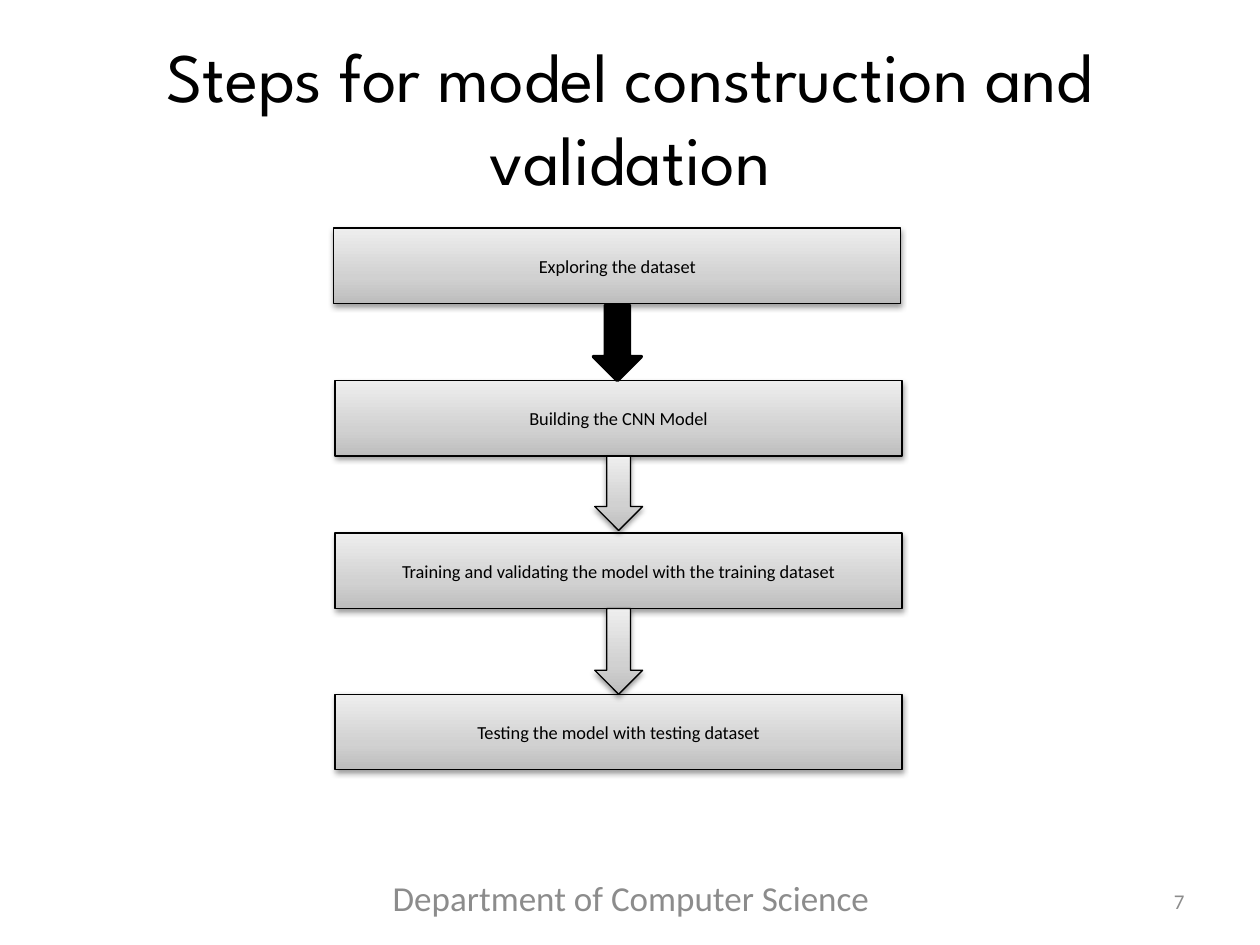
from pptx import Presentation
from pptx.dml.color import RGBColor
from pptx.enum.shapes import MSO_SHAPE
from pptx.enum.text import MSO_ANCHOR, PP_ALIGN
from pptx.oxml.ns import qn
from pptx.util import Inches, Pt
from lxml import etree

RECT, DOWN_ARROW = MSO_SHAPE.RECTANGLE, MSO_SHAPE.DOWN_ARROW
MIDDLE = MSO_ANCHOR.MIDDLE
CENTER, RIGHT = PP_ALIGN.CENTER, PP_ALIGN.RIGHT

BLACK = RGBColor(0x00, 0x00, 0x00)
GRAY = RGBColor(0x8C, 0x8C, 0x8C)
GRADIENT = [
    (0, RGBColor(0xBD, 0xBD, 0xBD)),
    (35, RGBColor(0xD1, 0xD1, 0xD1)),
    (100, RGBColor(0xEE, 0xEE, 0xEE)),
]
BODY_FONT, TITLE_FONT = "Calibri", "League Spartan"

BOX_W, BOX_H = 4.5, 0.6
ARROW_W = 0.38
# Left and top of each step box
STEPS = [
    ("Exploring the dataset", 2.65, 1.81),
    ("Building the CNN Model", 2.66, 3.02),
    ("Training and validating the model with the training dataset", 2.66, 4.23),
    ("Testing the model with testing dataset", 2.66, 5.51),
]
# Left, top, height and solid fill (None for the gradient) of each arrow
ARROWS = [
    (4.71, 2.42, 0.6, BLACK),
    (4.72, 3.62, 0.59, None),
    (4.72, 4.83, 0.68, None),
]


def write_text(sp, text, size, color=BLACK, font=BODY_FONT, align=CENTER):
    tf = sp.text_frame
    tf.word_wrap = True
    tf.vertical_anchor = MIDDLE
    p = tf.paragraphs[0]
    p.alignment = align
    r = p.add_run()
    r.text = text
    r.font.size = Pt(size)
    r.font.name = font
    r.font.color.rgb = color


def add_text(s, text, left, top, width, height, size, **style):
    sp = s.shapes.add_textbox(Inches(left), Inches(top), Inches(width), Inches(height))
    write_text(sp, text, size, **style)


def add_color(parent, tag, color, **attributes):
    node = etree.SubElement(parent, qn(tag), **attributes)
    return etree.SubElement(node, qn("a:srgbClr"), val=str(color))


def set_gradient(sp):
    sp.fill.gradient()
    sp.fill.gradient_angle = 90
    stops = sp._element.spPr.find(qn("a:gradFill")).find(qn("a:gsLst"))
    for stop in list(stops):
        stops.remove(stop)
    for percent, color in GRADIENT:
        add_color(stops, "a:gs", color, pos=str(percent * 1000))


def set_shadow(sp):
    effects = sp._element.spPr.find(qn("a:effectLst"))
    color = add_color(effects, "a:outerShdw", BLACK, blurRad=str(Pt(3.1)),
                      dist=str(Pt(1.6)), dir="5400000", rotWithShape="0")
    etree.SubElement(color, qn("a:alpha"), val="38000")


def add_block(s, kind, left, top, width, height, solid=None):
    sp = s.shapes.add_shape(kind, Inches(left), Inches(top), Inches(width), Inches(height))
    sp.shadow.inherit = False
    sp.line.color.rgb = BLACK
    if solid is not None:
        sp.fill.solid()
        sp.fill.fore_color.rgb = solid
        sp.line.width = Pt(2)
    else:
        set_gradient(sp)
        set_shadow(sp)
        sp.line.width = Pt(0.75)
    return sp


def main():
    prs = Presentation()
    prs.slide_width, prs.slide_height = Inches(10), Inches(7.5)
    s = prs.slides.add_slide(prs.slide_layouts[6])

    # Title and footer
    add_text(s, "Steps for model construction and validation",
             0.5, 0.3, 9, 1.25, 39.6, font=TITLE_FONT)
    add_text(s, "Department of Computer Science ", 2.83, 6.92, 4.42, 0.4, 20, color=GRAY)
    add_text(s, "7", 7.17, 6.95, 2.33, 0.4, 12, color=GRAY, align=RIGHT)

    # Flow chart: arrows between the step boxes
    for text, left, top in STEPS:
        write_text(add_block(s, RECT, left, top, BOX_W, BOX_H), text, 10.5)
    for left, top, height, solid in ARROWS:
        add_block(s, DOWN_ARROW, left, top, ARROW_W, height, solid)

    prs.save("out.pptx")


main()
